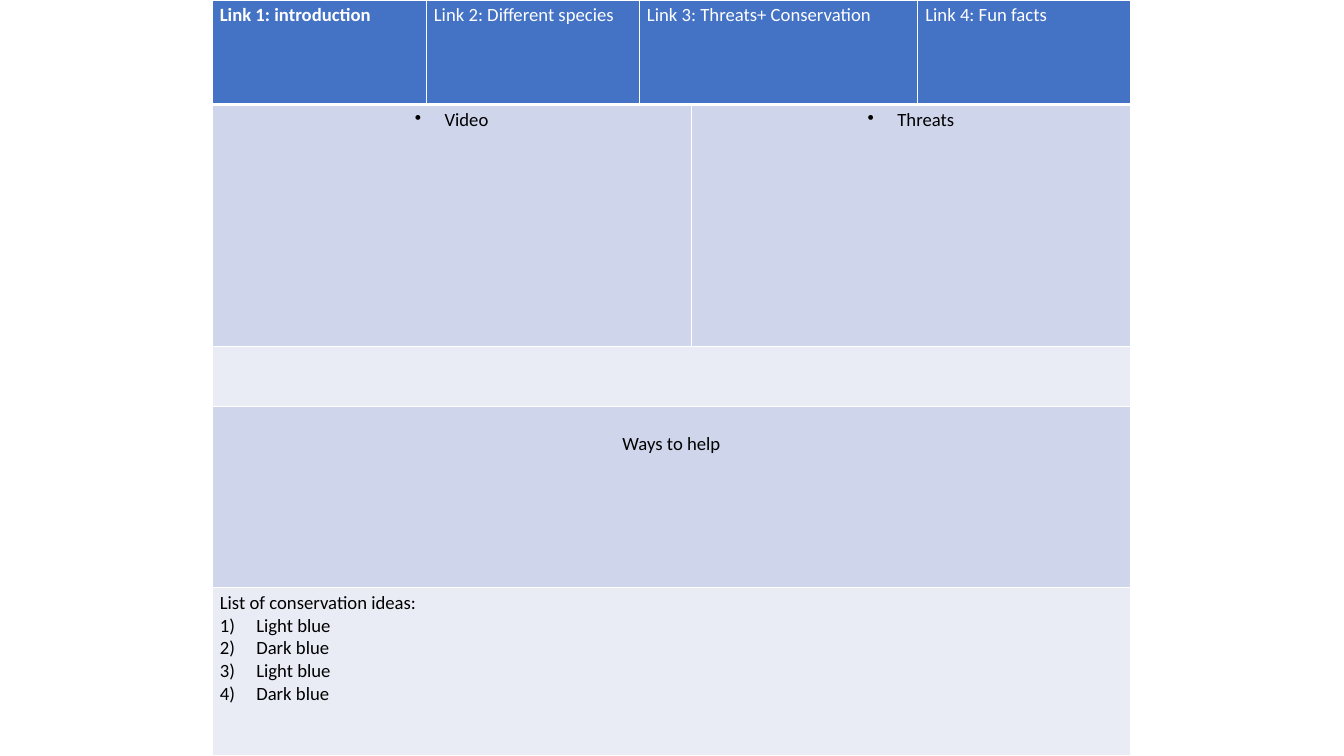
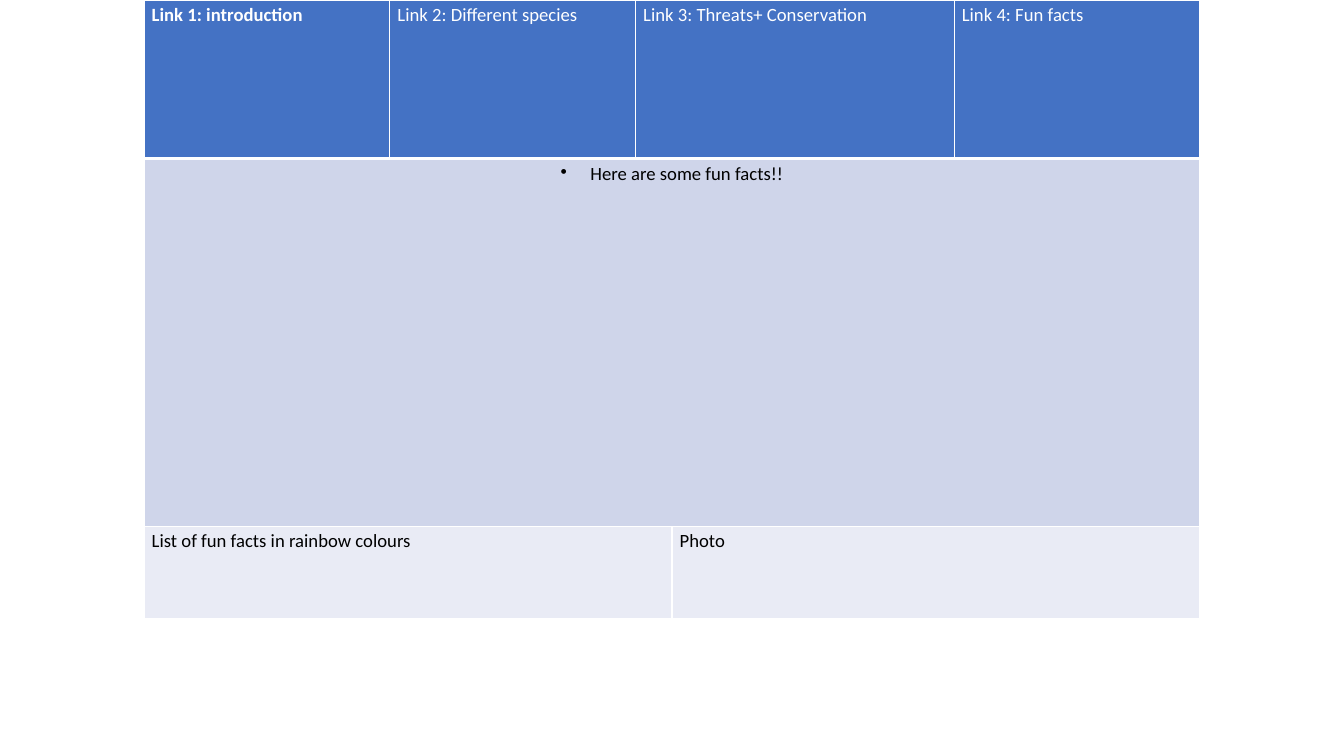
import pptx
import pptx.dml.color
import pptx.enum.text
import pptx.oxml
import pptx.oxml.ns
import pptx.util
from pptx.util import Inches

RGBColor = pptx.dml.color.RGBColor
WHITE = RGBColor(0xFF, 0xFF, 0xFF)
BLACK = RGBColor(0x00, 0x00, 0x00)
HEADER_BLUE = RGBColor(0x44, 0x72, 0xC4)
BAND_DARK = RGBColor(0xCF, 0xD5, 0xEA)
BAND_LIGHT = RGBColor(0xE9, 0xEB, 0xF5)

SLIDE_SIZE = (14, 7.87)
THIN, THICK = 1, 3
CELL_MARGINS = {
    "margin_left": Inches(0.08), "margin_right": Inches(0.08),
    "margin_top": Inches(0.04), "margin_bottom": Inches(0.04),
}
FONT = {"name": "Calibri", "size": pptx.util.Pt(14)}
CENTER = pptx.enum.text.PP_ALIGN.CENTER

# List markers: hanging indent in inches and the marker element
MARKERS = {
    "bullet": (0.31, '<a:buChar %s char="•"/>'),
    "number": (0.38, '<a:buAutoNum %s type="arabicParenR"/>'),
}

# Navigation row on both slides: (columns spanned, paragraphs)
NAVIGATION = [
    (1, [{"text": "Link 1: introduction", "bold": True}]),
    (1, [{"text": "Link 2: Different species"}]),
    (2, [{"text": "Link 3: Threats+ Conservation"}]),
    (1, [{"text": "Link 4: Fun facts"}]),
]


def set_attributes(target, values):
    for name, value in values.items():
        setattr(target, name, value)


def add_marker(para, kind):
    indent, marker = MARKERS[kind]
    properties = para._p.get_or_add_pPr()
    properties.set("marL", str(Inches(indent)))
    properties.set("indent", str(-Inches(indent)))
    properties.append(pptx.oxml.parse_xml(marker % pptx.oxml.ns.nsdecls("a")))


def set_borders(cell, top, bottom):
    properties = cell._tc.get_or_add_tcPr()
    widths = {"L": THIN, "R": THIN, "T": top, "B": bottom}
    for position, (side, width) in enumerate(widths.items()):
        properties.insert(position, pptx.oxml.parse_xml(
            f'<a:ln{side} {pptx.oxml.ns.nsdecls("a")} w="{pptx.util.Pt(width)}">'
            f'<a:solidFill><a:srgbClr val="{WHITE}"/></a:solidFill></a:ln{side}>'))


def write_paragraphs(cell, paragraphs, color):
    frame = cell.text_frame
    for index, item in enumerate(paragraphs):
        para = frame.add_paragraph() if index else frame.paragraphs[0]
        if item.get("centered"):
            para.alignment = CENTER
        if "marker" in item:
            add_marker(para, item["marker"])
        span = para.add_run()
        span.text = item["text"]
        set_attributes(span.font, {**FONT, "bold": item.get("bold", False)})
        span.font.color.rgb = color


def style_cell(cell, row_index):
    if row_index == 0:
        fill = HEADER_BLUE
    else:
        fill = BAND_DARK if row_index % 2 else BAND_LIGHT
    cell.fill.solid()
    cell.fill.fore_color.rgb = fill
    set_attributes(cell, CELL_MARGINS)
    set_borders(cell, top=THICK if row_index == 1 else THIN,
                bottom=THICK if row_index == 0 else THIN)


def add_layout_table(page, left, widths, heights, body):
    """Build a page plan: the navigation row, then the body rows."""
    frame = page.shapes.add_table(
        len(heights), len(widths), Inches(left), Inches(0),
        Inches(sum(widths)), Inches(sum(heights)))
    table = frame.table
    for column, width in zip(table.columns, widths):
        column.width = Inches(width)
    for row, height in zip(table.rows, heights):
        row.height = Inches(height)

    for row_index, blocks in enumerate([NAVIGATION] + body):
        for column_index in range(len(widths)):
            style_cell(table.cell(row_index, column_index), row_index)
        start = 0
        for columns, paragraphs in blocks:
            cell = table.cell(row_index, start)
            if columns > 1:
                cell.merge(table.cell(row_index, start + columns - 1))
            write_paragraphs(cell, paragraphs, BLACK if row_index else WHITE)
            start += columns
    return table


def centered_bullet(text):
    return [{"text": text, "centered": True, "marker": "bullet"}]


def add_page(deck):
    return deck.slides.add_slide(deck.slide_layouts[6])


def build_conservation_page(deck):
    ideas = [{"text": f"{shade} blue", "marker": "number"}
             for shade in ("Light", "Dark") * 2]
    body = [
        [(3, centered_bullet("Video")), (2, centered_bullet("Threats"))],
        [(5, [])],
        [(5, [{"text": "Ways to help", "centered": True}])],
        [(5, [{"text": "List of conservation ideas:"}] + ideas)],
    ]
    table = add_layout_table(
        add_page(deck), 2.21, [2.23, 2.22, 0.54, 2.36, 2.22],
        [1.09, 2.52, 0.62, 1.89, 1.75], body)
    # The help heading sits one line below the top of its cell
    table.cell(3, 0).margin_top = Inches(0.28)


def build_fun_facts_page(deck):
    body = [
        [(5, centered_bullet("Here are some fun facts!!"))],
        [(3, [{"text": "List of fun facts in rainbow colours"}]),
         (2, [{"text": "Photo"}])],
    ]
    add_layout_table(
        add_page(deck), 1.5, [2.56, 2.56, 0.38, 2.94, 2.56],
        [1.65, 3.83, 0.96], body)


def main():
    deck = pptx.Presentation()
    deck.slide_width, deck.slide_height = map(Inches, SLIDE_SIZE)
    build_conservation_page(deck)
    build_fun_facts_page(deck)
    deck.save("out.pptx")


if __name__ == "__main__":
    main()
